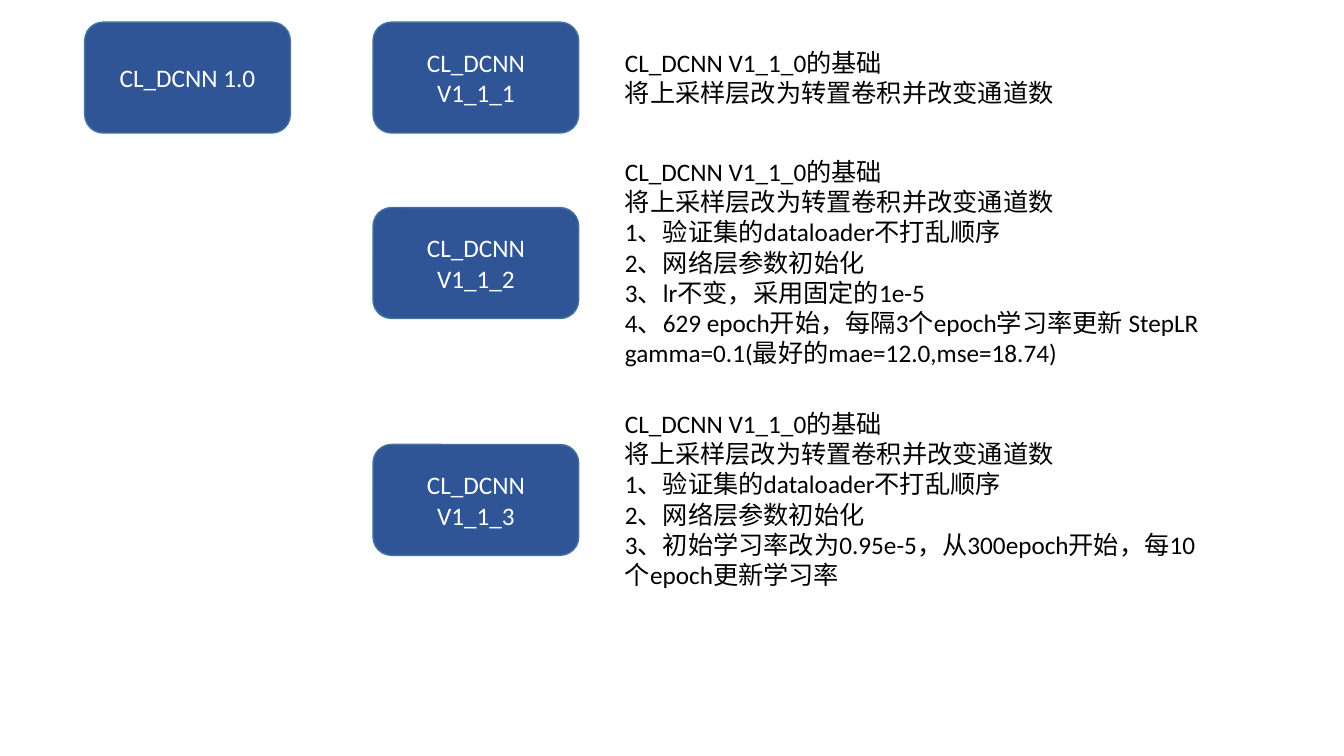
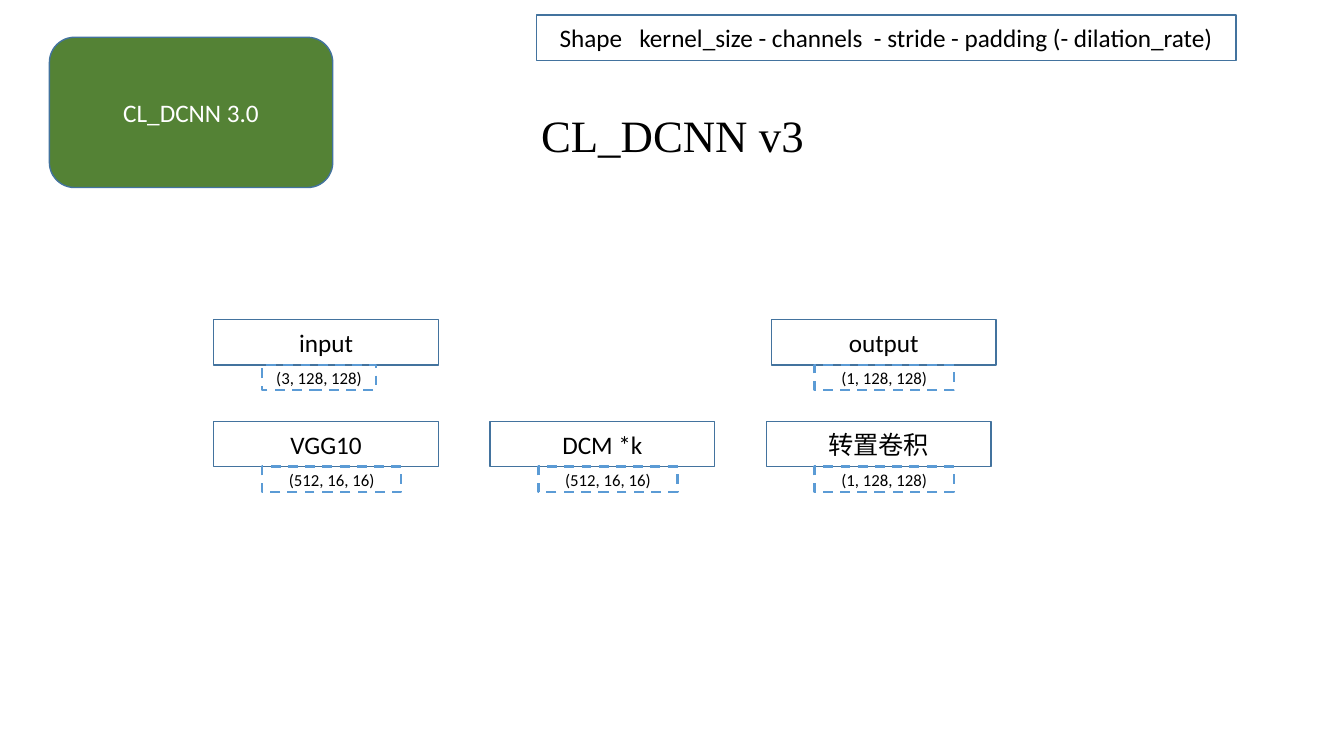
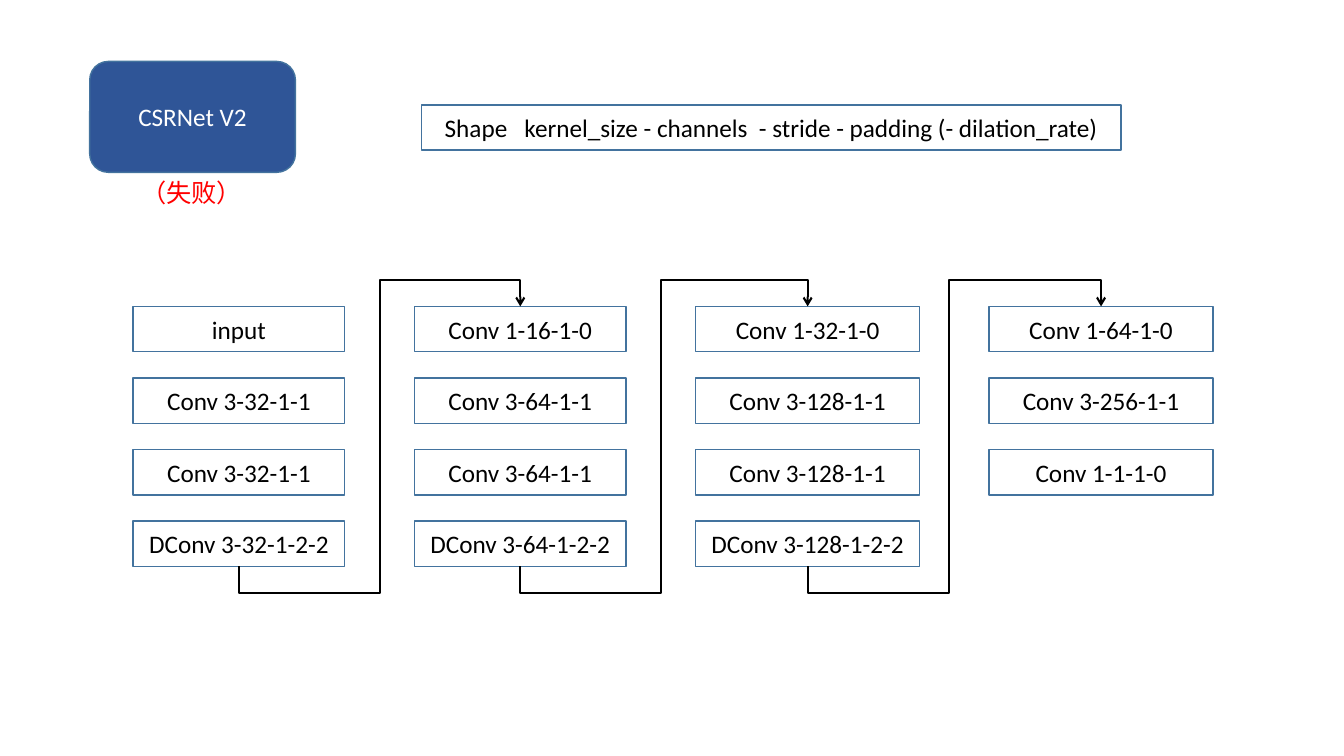
import pptx
import pptx.dml.color
import pptx.enum.dml
import pptx.enum.shapes
import pptx.enum.text
import pptx.oxml.ns
import pptx.util
from lxml import etree

Inches = pptx.util.Inches
Pt = pptx.util.Pt
RGBColor = pptx.dml.color.RGBColor
Shape = pptx.enum.shapes.MSO_SHAPE
Align = pptx.enum.text.PP_ALIGN
qn = pptx.oxml.ns.qn

# Shared style
BLUE = RGBColor(0x2F, 0x55, 0x97)
GREEN = RGBColor(0x54, 0x82, 0x35)
OUTLINE = RGBColor(0x43, 0x73, 0x9E)
DASH_BLUE = RGBColor(0x5B, 0x9B, 0xD5)
WHITE = RGBColor(0xFF, 0xFF, 0xFF)
BLACK = RGBColor(0x00, 0x00, 0x00)
RED = RGBColor(0xFF, 0x00, 0x00)
BODY_FONT = "Calibri"
TITLE_FONT = "Times New Roman"
BADGE_SIZE = (2.04, 1.1)
LAYER_HEIGHT = 0.45
LEGEND = "Shape   kernel_size - channels  - stride - padding (- dilation_rate)"

# Slide 1 content: badge top, note top, note height, version, changes
BASE_CHANGES = ["CL_DCNN V1_1_0的基础", "将上采样层改为转置卷积并改变通道数"]
TRAINING_CHANGES = BASE_CHANGES + ["1、验证集的dataloader不打乱顺序", "2、网络层参数初始化"]
VERSIONS = [
    (0.22, 0.42, 0.71, "V1_1_1", BASE_CHANGES),
    (2.06, 1.5, 2.22, "V1_1_2", TRAINING_CHANGES + [
        "3、lr不变，采用固定的1e-5",
        "4、629 epoch开始，每隔3个epoch学习率更新 StepLR gamma=0.1(最好的mae=12.0,mse=18.74)",
    ]),
    (4.41, 4, 1.92, "V1_1_3", TRAINING_CHANGES + [
        "3、初始学习率改为0.95e-5，从300epoch开始，每10个epoch更新学习率",
    ]),
]

# Slide 2 content: left, top, name, tensor shape, tensor left, tensor width
STAGES = [
    (2.12, 3.17, "input", "(3, 128, 128)", 2.6, 1.13),
    (7.65, 3.17, "output", "(1, 128, 128)", 8.08, 1.38),
    (2.12, 4.18, "VGG10", "(512, 16, 16)", 2.6, 1.38),
    (4.86, 4.18, "DCM *k", "(512, 16, 16)", 5.34, 1.38),
    (7.6, 4.18, "转置卷积", "(1, 128, 128)", 8.08, 1.38),
]

# Slide 3 content: column width, layers from top to bottom
COLUMNS = [
    (2.1, ["input", "Conv 3-32-1-1", "Conv 3-32-1-1", "DConv 3-32-1-2-2"]),
    (2.1, ["Conv 1-16-1-0", "Conv 3-64-1-1", "Conv 3-64-1-1", "DConv 3-64-1-2-2"]),
    (2.22, ["Conv 1-32-1-0", "Conv 3-128-1-1", "Conv 3-128-1-1", "DConv 3-128-1-2-2"]),
    (2.22, ["Conv 1-64-1-0", "Conv 3-256-1-1", "Conv 1-1-1-0"]),
]
COLUMN_GAP = 0.69
ROW_PITCH = 0.71


def write_text(box, lines, color, size=18, font=BODY_FONT, align=Align.CENTER):
    frame = box.text_frame
    for index, line in enumerate(lines):
        para = frame.add_paragraph() if index else frame.paragraphs[0]
        para.text = line
        para.alignment = align
        para.font.size = Pt(size)
        para.font.name = font
        para.font.color.rgb = color


def add_box(page, kind, left, top, width, height, text, fill, color, size=18):
    box = page.shapes.add_shape(
        kind, Inches(left), Inches(top), Inches(width), Inches(height))
    box.shadow.inherit = False
    if fill is None:
        box.fill.background()
    else:
        box.fill.solid()
        box.fill.fore_color.rgb = fill
    box.line.color.rgb = OUTLINE
    box.line.width = Pt(1)
    box.text_frame.word_wrap = True
    box.text_frame.vertical_anchor = pptx.enum.text.MSO_ANCHOR.MIDDLE
    write_text(box, [text], color, size)
    return box


def add_badge(page, left, top, text, fill=BLUE, size=BADGE_SIZE):
    return add_box(page, Shape.ROUNDED_RECTANGLE, left, top, *size, text, fill, WHITE)


def add_layer(page, left, top, width, text):
    return add_box(page, Shape.RECTANGLE, left, top, width, LAYER_HEIGHT,
                   text, WHITE, BLACK)


def add_tensor_label(page, left, top, width, text):
    box = add_box(page, Shape.RECTANGLE, left, top, width, 0.25, text, None, BLACK, 12)
    box.line.color.rgb = DASH_BLUE
    box.line.width = Pt(1.75)
    box.line.dash_style = pptx.enum.dml.MSO_LINE.DASH


def add_text(page, left, top, width, height, lines, wrap=True, color=BLACK, **style):
    box = page.shapes.add_textbox(
        Inches(left), Inches(top), Inches(width), Inches(height))
    box.text_frame.word_wrap = wrap
    write_text(box, lines, color, **style)


def add_return_arrow(page, source, target):
    """Run from the bottom of source, up between columns, to the top of target."""
    start_x = source.left + source.width // 2
    start_y = source.top + source.height
    end_x = target.left + target.width // 2
    rise, run = start_y - target.top, end_x - start_x

    arrow = page.shapes.add_connector(
        pptx.enum.shapes.MSO_CONNECTOR.ELBOW, start_x, start_y, end_x, target.top)
    arrow.begin_connect(source, 2)
    arrow.end_connect(target, 0)
    arrow.line.color.rgb = BLACK
    arrow.line.width = Pt(1.5)
    etree.SubElement(arrow.line._get_or_add_ln(), qn("a:tailEnd"), type="arrow")

    # A quarter turn swaps the sides of the frame around its centre
    properties = arrow._element.spPr
    frame = properties.find(qn("a:xfrm"))
    for name, value in (("rot", "5400000"), ("flipH", "1"), ("flipV", "1")):
        frame.set(name, value)
    arrow.width, arrow.height = rise, run
    arrow.left = (start_x + end_x - rise) // 2
    arrow.top = (start_y + target.top - run) // 2

    # Bends: below the source, between the columns, above the target
    geometry = properties.find(qn("a:prstGeom"))
    geometry.set("prst", "bentConnector5")
    guides = geometry.find(qn("a:avLst"))
    overshoot = Inches(0.26) / rise
    bends = (-overshoot, Inches(1.4) / run, 1 + overshoot)
    for number, bend in enumerate(bends, 1):
        etree.SubElement(guides, qn("a:gd"), name=f"adj{number}",
                         fmla=f"val {round(bend * 100000)}")
    etree.SubElement(properties, qn("a:effectLst"))


def build_versions(page):
    add_badge(page, 0.84, 0.22, "CL_DCNN 1.0")
    for badge_top, note_top, note_height, version, changes in VERSIONS:
        add_badge(page, 3.7, badge_top, f"CL_DCNN {version}")
        add_text(page, 6.1, note_top, 5.93, note_height, changes, align=Align.LEFT)


def build_overview(page):
    add_badge(page, 0.49, 0.37, "CL_DCNN 3.0", GREEN, (2.81, 1.49))
    add_layer(page, 5.32, 0.15, 6.94, LEGEND)
    for left, top, name, tensor, tensor_left, tensor_width in STAGES:
        add_layer(page, left, top, 2.23, name)
        add_tensor_label(page, tensor_left, top + LAYER_HEIGHT, tensor_width, tensor)
    add_text(page, 3.56, 1.02, 6.22, 0.64, ["CL_DCNN v3"], size=32, font=TITLE_FONT)


def build_network(page):
    add_badge(page, 0.89, 0.61, "CSRNet V2")
    add_layer(page, 4.18, 1.04, 6.94, LEGEND)
    add_text(page, 1.3, 1.71, 1.2, 0.4, ["（失败）"], wrap=False, color=RED)

    left = 1.32
    columns = []
    for width, names in COLUMNS:
        columns.append([add_layer(page, left, 3.04 + row * ROW_PITCH, width, name)
                        for row, name in enumerate(names)])
        left += width + COLUMN_GAP
    for column, following in zip(columns, columns[1:]):
        add_return_arrow(page, column[-1], following[0])


def main():
    deck = pptx.Presentation()
    deck.slide_width = Inches(13.33)
    deck.slide_height = Inches(7.5)
    for build in (build_versions, build_overview, build_network):
        build(deck.slides.add_slide(deck.slide_layouts[6]))
    deck.save("out.pptx")


if __name__ == "__main__":
    main()
